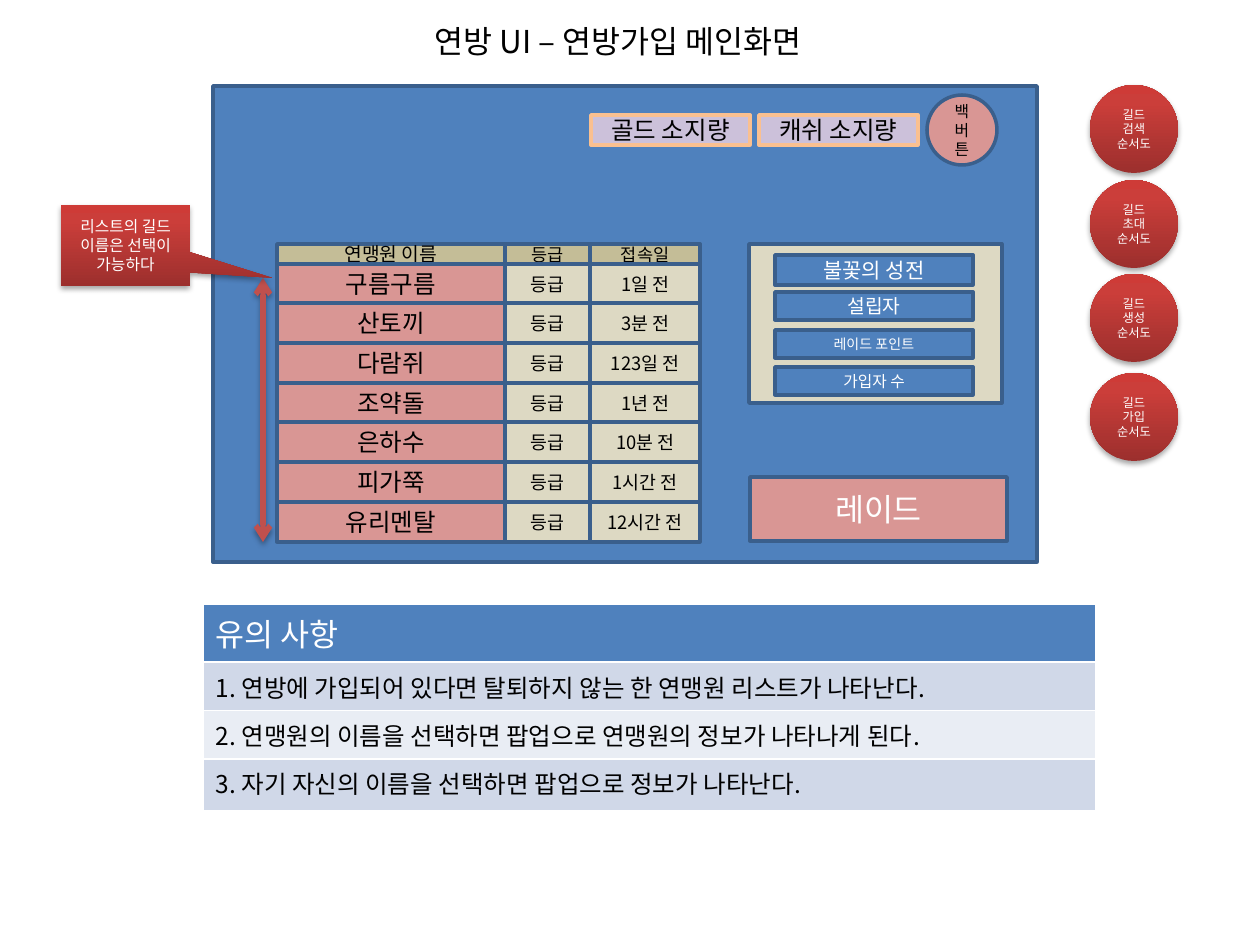
from copy import deepcopy
from dataclasses import dataclass

from lxml.etree import SubElement
from pptx import Presentation
from pptx.dml.color import RGBColor
from pptx.enum.shapes import MSO_CONNECTOR, MSO_SHAPE
from pptx.enum.text import MSO_ANCHOR, MSO_AUTO_SIZE, PP_ALIGN
from pptx.oxml.ns import qn
from pptx.util import Pt

EMU_PER_PX = 914400 / 126


@dataclass(frozen=True)
class Theme:
    font: str = "Noto Sans CJK KR"
    black: str = "000000"
    white: str = "FFFFFF"
    blue: str = "4F81BD"
    outline: str = "3A5F8C"
    pink: str = "D99694"
    khaki: str = "C4BD97"
    beige: str = "DDD9C3"
    lilac: str = "CCC1DA"
    orange: str = "FAC090"
    red: str = "C0504D"
    band_dark: str = "D0D8E8"
    band_light: str = "E9EDF4"
    gradient: tuple = ((0, "9C2F2D"), (0.8, "CB3E3A"), (1, "CE3B37"))
    heading: float = 18
    body: float = 14
    panel_title: float = 12
    label: float = 11
    cell: float = 10.5
    small_header: float = 10
    note: float = 9
    small: float = 8
    tiny: float = 7


THEME = Theme()


def px(length):
    return round(length * EMU_PER_PX)


def box(*lengths):
    return [px(length) for length in lengths]


def write_text(frame, lines, size, color, alignment=PP_ALIGN.CENTER):
    frame.text = "\n".join(lines)
    for paragraph in frame.paragraphs:
        paragraph.alignment = alignment
        paragraph.font.size = Pt(size)
        paragraph.font.bold = False
        paragraph.font.color.rgb = RGBColor.from_string(color)
        paragraph.font.name = THEME.font
        properties = paragraph._p.pPr.find(qn("a:defRPr"))
        SubElement(properties, qn("a:ea"), typeface=THEME.font)


def add_shadow(shape):
    effects = SubElement(shape._element.spPr, qn("a:effectLst"))
    shadow = SubElement(effects, qn("a:outerShdw"), blurRad="40000", dist="23000",
                        dir="5400000", rotWithShape="0")
    color = SubElement(shadow, qn("a:srgbClr"), val=THEME.black)
    SubElement(color, qn("a:alpha"), val="35000")


def add_panel(slide, bounds, fill, text="", size=THEME.body, color=THEME.black,
              outline=THEME.outline, kind=MSO_SHAPE.RECTANGLE):
    shape = slide.shapes.add_shape(kind, *box(*bounds))
    shape.shadow.inherit = False
    shape.fill.solid()
    shape.fill.fore_color.rgb = RGBColor.from_string(fill)
    shape.line.color.rgb = RGBColor.from_string(outline)
    shape.line.width = Pt(2)
    if text:
        shape.text_frame.word_wrap = True
        shape.text_frame.vertical_anchor = MSO_ANCHOR.MIDDLE
        write_text(shape.text_frame, [text], size, color)


def add_marker(slide, kind, bounds, lines, size):
    shape = slide.shapes.add_shape(kind, *box(*bounds))
    shape.line.fill.background()
    shape.fill.gradient()
    shape.fill.gradient_angle = 90
    stop_list = shape._element.spPr.find(".//" + qn("a:gsLst"))
    stop_list.insert(1, deepcopy(stop_list[0]))
    for stop, (position, color) in zip(shape.fill.gradient_stops, THEME.gradient):
        stop.position = position
        stop.color.rgb = RGBColor.from_string(color)
    add_shadow(shape)
    shape.text_frame.word_wrap = True
    shape.text_frame.vertical_anchor = MSO_ANCHOR.MIDDLE
    write_text(shape.text_frame, lines, size, THEME.white)
    return shape


def add_title(slide):
    title = slide.shapes.add_textbox(*box(422, 16, 436, 50))
    title.text_frame.word_wrap = False
    title.text_frame.auto_size = MSO_AUTO_SIZE.SHAPE_TO_FIT_TEXT
    write_text(title.text_frame, ["연방 UI – 연방가입 메인화면"], THEME.heading,
               THEME.black, PP_ALIGN.LEFT)


def add_notice_table(slide):
    rows = [
        ("유의 사항", 52, THEME.blue),
        ("1. 연방에 가입되어 있다면 탈퇴하지 않는 한 연맹원 리스트가 나타난다.", 36, THEME.band_dark),
        ("2. 연맹원의 이름을 선택하면 팝업으로 연맹원의 정보가 나타나게 된다.", 34, THEME.band_light),
        ("3. 자기 자신의 이름을 선택하면 팝업으로 정보가 나타난다.", 52, THEME.band_dark),
    ]
    frame = slide.shapes.add_table(len(rows), 1, *box(203, 604, 893, 186))
    table = frame.table
    table.horz_banding = False
    for index, (text, height, fill) in enumerate(rows):
        table.rows[index].height = px(height)
        cell = table.cell(index, 0)
        cell.fill.solid()
        cell.fill.fore_color.rgb = RGBColor.from_string(fill)
        size, color = (THEME.body, THEME.black) if index else (THEME.heading, THEME.white)
        write_text(cell.text_frame, [text], size, color, PP_ALIGN.LEFT)
    frame.height = px(186)


def add_roster(slide):
    columns = [(277, 228), (505, 85), (590, 110)]
    headers = [("연맹원 이름", THEME.label), ("등급", THEME.small_header),
               ("접속일", THEME.small_header)]
    styles = [(THEME.pink, THEME.body), (THEME.beige, THEME.cell), (THEME.beige, THEME.cell)]
    members = [("구름구름", "1일 전"), ("산토끼", "3분 전"), ("다람쥐", "123일 전"),
               ("조약돌", "1년 전"), ("은하수", "10분 전"), ("피가쭉", "1시간 전"),
               ("유리멘탈", "12시간 전")]
    for (left, width), (text, size) in zip(columns, headers):
        add_panel(slide, (left, 244, width, 20), THEME.khaki, text, size)
    for index, (name, last_seen) in enumerate(members):
        top = 264 + 278 * index // len(members)
        for (left, width), (fill, size), text in zip(columns, styles, (name, "등급", last_seen)):
            add_panel(slide, (left, top, width, 40), fill, text, size)


def add_scroll_arrow(slide):
    arrow = slide.shapes.add_connector(MSO_CONNECTOR.STRAIGHT, *box(263, 542, 263, 278))
    arrow.line.color.rgb = RGBColor.from_string(THEME.red)
    arrow.line.width = Pt(3)
    line = arrow._element.spPr.find(qn("a:ln"))
    for end in ("a:headEnd", "a:tailEnd"):
        SubElement(line, qn(end), type="arrow")
    add_shadow(arrow)


def add_guild_info(slide):
    add_panel(slide, (749, 244, 253, 159), THEME.beige)
    entries = [("불꽃의 성전", 255, 30, THEME.panel_title), ("설립자", 292, 28, THEME.label),
               ("레이드 포인트", 330, 28, THEME.small), ("가입자 수", 367, 28, THEME.note)]
    for text, top, height, size in entries:
        add_panel(slide, (775, top, 198, height), THEME.blue, text, size, THEME.white)


def add_flow_markers(slide):
    for action, top in [("검색", 85), ("초대", 180), ("생성", 274), ("가입", 373)]:
        add_marker(slide, MSO_SHAPE.OVAL, (1090, top, 88, 88),
                   [f"길드 {action}", "순서도"], THEME.tiny)


def main():
    presentation = Presentation()
    presentation.slide_width, presentation.slide_height = box(1260, 945)
    slide = presentation.slides.add_slide(presentation.slide_layouts[6])
    add_notice_table(slide)
    add_title(slide)
    add_panel(slide, (213, 86, 824, 476), THEME.blue)
    add_roster(slide)
    add_scroll_arrow(slide)
    add_panel(slide, (927, 95, 70, 70), THEME.pink, "백버튼", THEME.note, kind=MSO_SHAPE.OVAL)
    for text, left in [("골드 소지량", 591), ("캐쉬 소지량", 759)]:
        add_panel(slide, (left, 115, 159, 30), THEME.lilac, text, outline=THEME.orange)
    add_guild_info(slide)
    add_panel(slide, (750, 477, 257, 64), THEME.pink, "레이드", THEME.heading, THEME.white)
    callout = add_marker(slide, MSO_SHAPE.RECTANGULAR_CALLOUT, (61, 205, 129, 81),
                         ["리스트의 길드 이름은 선택이 가능하다"], THEME.note)
    callout.adjustments[0] = 1.14
    callout.adjustments[1] = 0.4
    add_flow_markers(slide)
    presentation.save("out.pptx")


if __name__ == "__main__":
    main()
